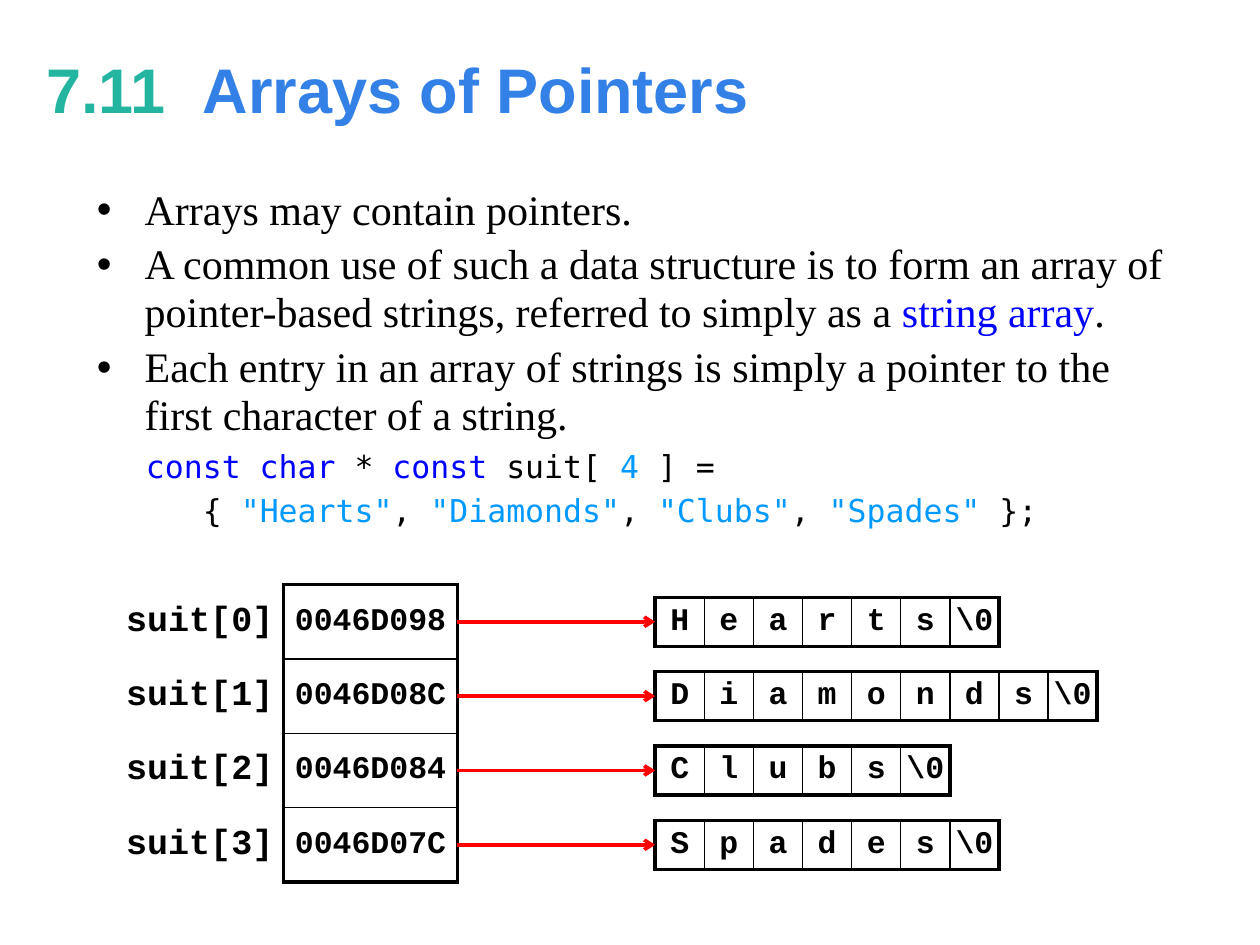
import pptx
import pptx.dml.color
import pptx.enum.shapes
import pptx.enum.text
import pptx.oxml.ns
import pptx.util
from lxml import etree
from pptx.util import Inches

RGBColor = pptx.dml.color.RGBColor
Align = pptx.enum.text.PP_ALIGN
Pt = pptx.util.Pt
qn = pptx.oxml.ns.qn

BLACK = RGBColor(0x00, 0x00, 0x00)
TEAL = RGBColor(0x24, 0xB5, 0xA1)
HEADING_BLUE = RGBColor(0x33, 0x80, 0xE6)
KEYWORD_BLUE = RGBColor(0x00, 0x00, 0xFF)
LITERAL_BLUE = RGBColor(0x00, 0x99, 0xFF)
RED = RGBColor(0xFF, 0x00, 0x00)

THICK, THIN = 2.25, 1


def add_text(paragraph, text, *, font, size, color=BLACK, bold=False):
    run = paragraph.add_run()
    run.text = text
    run.font.name = font
    run.font.size = Pt(size)
    run.font.color.rgb = color
    run.font.bold = bold


def set_borders(cell, left=None, right=None, top=None, bottom=None):
    """Draw each side with the given width in points; None hides it."""
    properties = cell._tc.get_or_add_tcPr()
    for side, width in zip("LRTB", (left, right, top, bottom)):
        edge = etree.SubElement(properties, qn(f"a:ln{side}"))
        if width is None:
            etree.SubElement(edge, qn("a:noFill"))
            continue
        edge.set("w", str(Pt(width)))
        paint = etree.SubElement(edge, qn("a:solidFill"))
        etree.SubElement(paint, qn("a:srgbClr"), val=str(BLACK))


class SlideBuilder:
    heading_font = "Arial"
    body_font = "Times New Roman"
    code_font = "DejaVu Sans Mono"
    memory_font = "Courier New"

    def __init__(self, slide):
        self.slide = slide

    def text_frame(self, left, top, width, height):
        box = self.slide.shapes.add_textbox(
            Inches(left), Inches(top), Inches(width), Inches(height))
        box.text_frame.word_wrap = True
        return box.text_frame

    def title(self, number, name):
        frame = self.text_frame(0.27, 0.21, 9.45, 0.98)
        frame.vertical_anchor = pptx.enum.text.MSO_ANCHOR.MIDDLE
        heading = frame.paragraphs[0]
        tabs = etree.SubElement(heading._p.get_or_add_pPr(), qn("a:tabLst"))
        etree.SubElement(tabs, qn("a:tab"), pos=str(Inches(1.24)), algn="l")
        for text, color in ((number + "\t", TEAL), (name, HEADING_BLUE)):
            add_text(heading, text, font=self.heading_font, size=36,
                     color=color, bold=True)

    def body(self, points, code_lines):
        frame = self.text_frame(0.67, 1.41, 8.66, 2.99)
        entries = [(runs, True) for runs in points]
        entries += [(runs, False) for runs in code_lines]
        for index, (runs, is_point) in enumerate(entries):
            paragraph = frame.add_paragraph() if index else frame.paragraphs[0]
            properties = paragraph._p.get_or_add_pPr()
            properties.set("marL", str(Inches(0.38 if is_point else 0.39)))
            if is_point:
                properties.set("indent", str(Inches(-0.38)))
                etree.SubElement(properties, qn("a:buFont"), typeface="Arial")
                etree.SubElement(properties, qn("a:buChar"), char="•")
            if index:
                paragraph.space_before = Pt(4)
                paragraph.line_spacing = 0.95 if is_point else 1.0
            for text, color in runs:
                add_text(paragraph, text, color=color,
                         font=self.body_font if is_point else self.code_font,
                         size=24 if is_point else 18)

    def table(self, left, top, column_width, row_height, rows, columns):
        table = self.slide.shapes.add_table(
            rows, columns, Inches(left), Inches(top),
            Inches(column_width * columns), Inches(row_height * rows)).table
        table.first_row = table.horz_banding = False
        for column in table.columns:
            column.width = Inches(column_width)
        for row in table.rows:
            row.height = Inches(row_height)
        return table

    def cell(self, cell, text, size, align, margins, **borders):
        set_borders(cell, **borders)
        cell.fill.background()
        cell.vertical_anchor = pptx.enum.text.MSO_ANCHOR.MIDDLE
        cell.margin_left = cell.margin_right = Inches(margins[0])
        cell.margin_top = cell.margin_bottom = Inches(margins[1])
        paragraph = cell.text_frame.paragraphs[0]
        paragraph.alignment = align
        add_text(paragraph, text, font=self.memory_font, size=size, bold=True)

    def pointer_array(self, left, top, column_width, row_height, addresses):
        last = len(addresses) - 1
        table = self.table(left, top, column_width, row_height, last + 1, 2)
        margins = (0.08, 0.05)
        for i, address in enumerate(addresses):
            self.cell(table.cell(i, 0), f"suit[{i}]", 20, Align.RIGHT,
                      margins, right=THICK)
            self.cell(table.cell(i, 1), address, 18, Align.CENTER, margins,
                      left=THICK, right=THICK,
                      top=THIN if i else THICK,
                      bottom=THIN if i < last else THICK)

    def string(self, left, middle, slot, word):
        """One row of square slots: the letters and the closing null."""
        characters = [*word, "\\0"]
        last = len(characters) - 1
        table = self.table(left, middle - slot / 2, slot, slot, 1, last + 1)
        for i, character in enumerate(characters):
            self.cell(table.cell(0, i), character, 18, Align.CENTER, (0, 0),
                      left=THIN if i else THICK,
                      right=THIN if i < last else THICK,
                      top=THICK, bottom=THICK)

    def arrow(self, start, end, y):
        arrow = self.slide.shapes.add_connector(
            pptx.enum.shapes.MSO_CONNECTOR.STRAIGHT,
            Inches(start), Inches(y), Inches(end), Inches(y))
        arrow.line.color.rgb = RED
        arrow.line.width = Pt(2)
        etree.SubElement(arrow.line._get_or_add_ln(), qn("a:tailEnd"),
                         type="arrow")
        etree.SubElement(arrow._element.spPr, qn("a:effectLst"))


def main():
    deck = pptx.Presentation()
    deck.slide_width, deck.slide_height = Inches(10), Inches(7.5)
    builder = SlideBuilder(deck.slides.add_slide(deck.slide_layouts[6]))

    builder.title("7.11", "Arrays of Pointers")
    points = [
        [("Arrays may contain pointers.", BLACK)],
        [("A common use of such a data structure is to form an array of "
          "pointer-based strings, referred to simply as a ", BLACK),
         ("string array", KEYWORD_BLUE), (".", BLACK)],
        [("Each entry in an array of strings is simply a pointer to the "
          "first character of a string.", BLACK)],
    ]
    suits = {"Hearts": "0046D098", "Diamonds": "0046D08C",
             "Clubs": "0046D084", "Spades": "0046D07C"}
    initializer = []
    for suit in suits:
        initializer += [(", " if initializer else "   { ", BLACK),
                        (f'"{suit}"', LITERAL_BLUE)]
    code_lines = [
        [("const char", KEYWORD_BLUE), (" * ", BLACK),
         ("const ", KEYWORD_BLUE), ("suit[ ", BLACK),
         ("4", LITERAL_BLUE), (" ] =", BLACK)],
        initializer + [(" };", BLACK)],
    ]
    builder.body(points, code_lines)

    array_left, array_top, column_width, row_height = 0.87, 4.64, 1.38, 0.59
    strings_left = 5.2
    builder.pointer_array(array_left, array_top, column_width, row_height,
                          list(suits.values()))
    middles = [array_top + row_height * (i + 0.5) for i in range(len(suits))]
    for suit, middle in zip(suits, middles):
        builder.string(strings_left, middle, 0.39, suit)
    for middle in middles:
        builder.arrow(array_left + 2 * column_width, strings_left, middle)

    deck.save("out.pptx")


if __name__ == "__main__":
    main()
